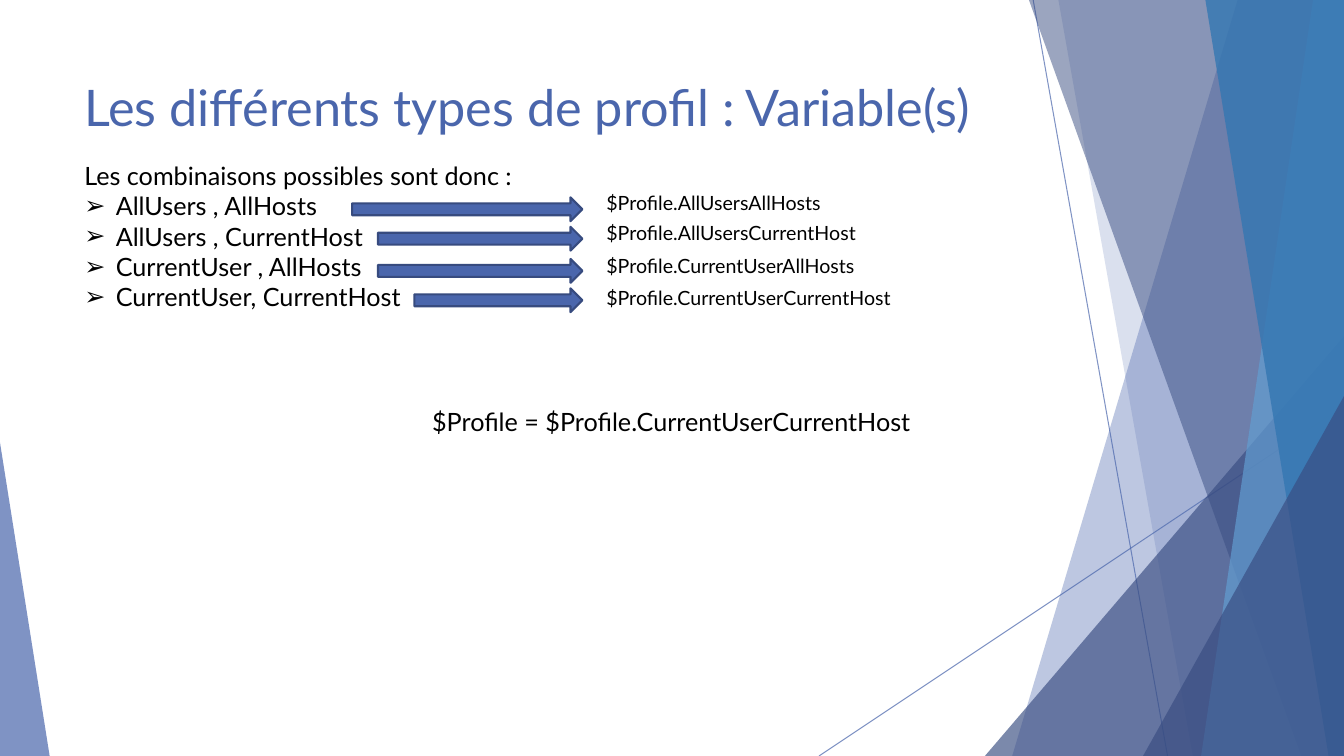
from lxml import etree
from pptx import Presentation
from pptx.dml.color import RGBColor
from pptx.enum import shapes as sh, text as tx
from pptx.oxml import ns
from pptx.util import Pt

BLUE = RGBColor(0x4A, 0x66, 0xAC)
NAVY = RGBColor(0x38, 0x4C, 0x81)
SKY = RGBColor(0x62, 0x9D, 0xD1)
OCEAN = RGBColor(0x34, 0x77, 0xB2)
OUTLINE = RGBColor(0x37, 0x4B, 0x7F)
BLACK = RGBColor(0, 0, 0)
FONT = "Lato"
WIDTH, HEIGHT = 960, 540

COMBINATIONS = [
    "AllUsers , AllHosts",
    "AllUsers , CurrentHost",
    "CurrentUser , AllHosts",
    "CurrentUser, CurrentHost",
]
ARROW_END, VARIABLE_LEFT = 416, 426
# variable, its width, its top, arrow start, arrow top
VARIABLES = [
    ("$Profile.AllUsersAllHosts", 206, 133, 251.5, 141),
    ("$Profile.AllUsersCurrentHost", 328, 154, 270, 162),
    ("$Profile.CurrentUserAllHosts", 328, 178, 270, 185),
    ("$Profile.CurrentUserCurrentHost", 513, 201, 296, 206),
]


def add_xml(parent, tag, **attributes):
    return etree.SubElement(parent, ns.qn(tag), attributes)


def set_opacity(shape, percent):
    for color in shape.element.spPr.iter(ns.qn("a:srgbClr")):
        add_xml(color, "a:alpha", val=str(percent * 1000))


def paint(shape, color, opacity):
    shape.shadow.inherit = False
    shape.fill.solid()
    shape.fill.fore_color.rgb = color
    shape.line.fill.background()
    set_opacity(shape, opacity)


def add_ray(facets, start, end):
    ray = facets.add_connector(sh.MSO_CONNECTOR.STRAIGHT, *map(Pt, start + end))
    ray.line.color.rgb = BLUE
    ray.line.width = Pt(0.75)
    set_opacity(ray, 70)
    add_xml(ray.element.spPr, "a:effectLst")


def add_slanted_facet(facets, top_x, bottom_x, color, opacity):
    """Facet with a slanted left edge that reaches the right side of the slide."""
    outline = facets.build_freeform(Pt(top_x), 0)
    corners = [(WIDTH, 0), (WIDTH, HEIGHT), (bottom_x, HEIGHT)]
    outline.add_line_segments([(Pt(x), Pt(y)) for x, y in corners], close=True)
    paint(outline.convert_to_shape(), color, opacity)


def add_corner_facet(facets, left, top, width, apex, color, opacity):
    """Triangle that stands on the bottom of the slide."""
    corner = facets.add_shape(sh.MSO_SHAPE.ISOSCELES_TRIANGLE, Pt(left), Pt(top),
                              Pt(width), Pt(HEIGHT - top))
    corner.adjustments[0] = apex
    paint(corner, color, opacity)


def add_decoration(slide):
    facets = slide.shapes.add_group_shape().shapes
    add_ray(facets, (738, 0), (834, HEIGHT))
    add_ray(facets, (WIDTH, 290), (585, HEIGHT))
    add_slanted_facet(facets, 884, 723, BLUE, 36)
    add_slanted_facet(facets, 756, 852, BLUE, 20)
    add_corner_facet(facets, 703.5, 240, 256.5, 1, NAVY, 66)
    add_slanted_facet(facets, 735, 929.5, NAVY, 50)
    add_slanted_facet(facets, 938, 858, SKY, 70)
    add_slanted_facet(facets, 861, 949, OCEAN, 80)
    add_corner_facet(facets, 816.5, 283, 143.5, 1, NAVY, 66)
    add_corner_facet(facets, 0, 316, 35.5, 0, BLUE, 70)


def write(paragraph, words, size, color=BLACK, align=tx.PP_ALIGN.LEFT):
    paragraph.alignment = align
    run = paragraph.add_run()
    run.text = words
    run.font.name = FONT
    run.font.size = Pt(size)
    run.font.color.rgb = color


def place(placeholder, left, top, width, height):
    placeholder.left, placeholder.top = Pt(left), Pt(top)
    placeholder.width, placeholder.height = Pt(width), Pt(height)
    placeholder.text_frame.auto_size = tx.MSO_AUTO_SIZE.NONE
    # Bring the text in front of the decoration
    placeholder.element.getparent().append(placeholder.element)


def write_list_line(paragraph, words, bullet=None):
    paragraph.space_before = Pt(0)
    write(paragraph, words, 18)
    properties = paragraph._p.get_or_add_pPr()
    indent = Pt(22.5) if bullet else 0
    properties.set("marL", str(indent))
    properties.set("indent", str(-indent))
    if bullet:
        add_xml(properties, "a:buFont", typeface="Arial")
        add_xml(properties, "a:buChar", char=bullet)
    else:
        add_xml(properties, "a:buNone")


def add_label(parent, words, left, top, width, height, size, align=tx.PP_ALIGN.LEFT):
    label = parent.add_textbox(Pt(left), Pt(top), Pt(width), Pt(height))
    label.text_frame.word_wrap = True
    write(label.text_frame.paragraphs[0], words, size, align=align)


def add_arrow(parent, start, top):
    arrow = parent.add_shape(sh.MSO_SHAPE.RIGHT_ARROW, Pt(start), Pt(top),
                             Pt(ARROW_END - start), Pt(17))
    paint(arrow, BLUE, 100)
    arrow.line.color.rgb = OUTLINE
    arrow.line.width = Pt(1.5)


def main():
    deck = Presentation()
    deck.slide_width, deck.slide_height = Pt(WIDTH), Pt(HEIGHT)
    slide = deck.slides.add_slide(deck.slide_layouts[1])
    add_decoration(slide)

    # Title
    title = slide.shapes.title
    place(title, 53, 48, 722, 56)
    write(title.text_frame.paragraphs[0],
          "Les différents types de profil : Variable(s)", 36, BLUE)

    # List of combinations
    combinations = slide.placeholders[1]
    place(combinations, 53, 111, 783, 117)
    frame = combinations.text_frame
    write_list_line(frame.paragraphs[0], "Les combinaisons possibles sont donc : ")
    for combination in COMBINATIONS:
        write_list_line(frame.add_paragraph(), combination, "➢")

    # Arrow from each combination to its variable
    for variable, width, top, arrow_start, arrow_top in VARIABLES:
        pair = slide.shapes.add_group_shape().shapes
        add_arrow(pair, arrow_start, arrow_top)
        add_label(pair, variable, VARIABLE_LEFT, top, width, 24, 14)

    # Default profile
    add_label(slide.shapes, "$Profile = $Profile.CurrentUserCurrentHost",
              133, 287, 693, 29, 18, tx.PP_ALIGN.CENTER)

    deck.save("out.pptx")


main()
